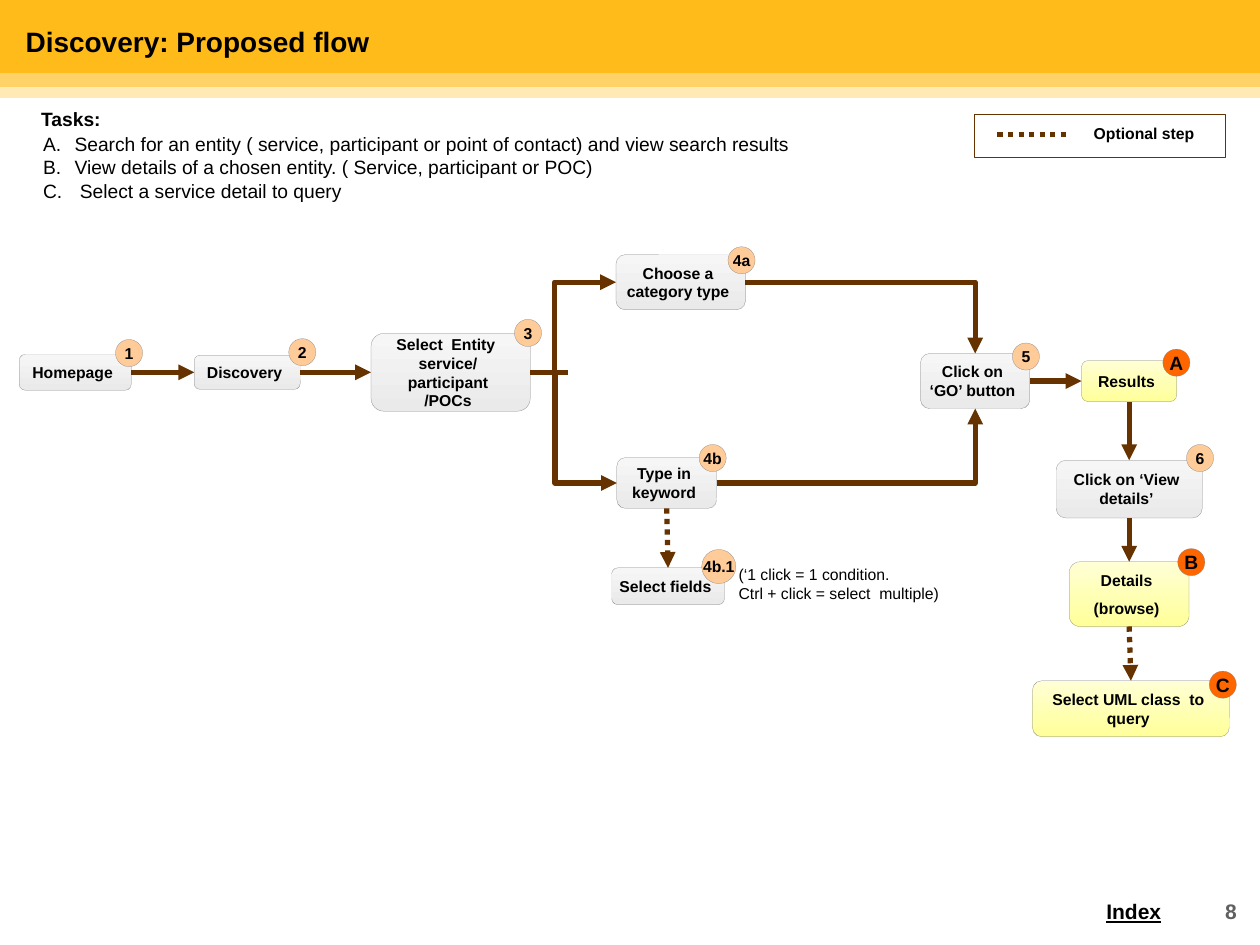
import pptx
import pptx.util
import pptx.dml.color
import pptx.enum.dml
import pptx.enum.shapes
import pptx.enum.text
import pptx.oxml.ns
import lxml.etree

Pt = pptx.util.Pt
SHAPE = pptx.enum.shapes.MSO_SHAPE
CONNECTOR = pptx.enum.shapes.MSO_CONNECTOR
ALIGN = pptx.enum.text.PP_ALIGN
ANCHOR = pptx.enum.text.MSO_ANCHOR
TOP, LEFT, BOTTOM, RIGHT = range(4)
BROWN = "663300"
BLACK = "000000"
GREY_FADE = ("F6F6F6", "EAEAEA")
YELLOW_FADE = ("FFFFD5", "FFFF99")

NODES = {
    "home": ("Homepage", (22, 405, 128, 41), GREY_FADE, 4),
    "discovery": ("Discovery", (222, 406, 121, 39), GREY_FADE, 4),
    "entity": ("Select  Entity  service/ participant /POCs", (424, 381, 182, 89), GREY_FADE, 9),
    "category": ("Choose a category type", (704, 291, 148, 63), GREY_FADE, 4),
    "keyword": ("Type in keyword", (705, 523, 114, 58), GREY_FADE, 4),
    "fields": ("Select fields", (699, 649, 129, 42), GREY_FADE, 4),
    "go": ("Click on ‘GO’ button", (1052, 404, 125, 63), GREY_FADE, 4),
    "results": ("Results", (1236, 412, 109, 47), YELLOW_FADE, 4),
    "view": ("Click on ‘View details’", (1207, 526, 167, 66), GREY_FADE, 4),
    "details": ("Details\n(browse)", (1222, 642, 137, 74), YELLOW_FADE, 4),
    "query": ("Select UML class  to query", (1180, 778, 225, 64), YELLOW_FADE, 4),
}
STEP_BADGES = [
    ("1", 132, 388, 31), ("2", 330, 387, 31), ("3", 588, 365, 31),
    ("4a", 832, 282, 31), ("4b", 799, 508, 31), ("4b.1", 802, 628, 39),
    ("5", 1157, 392, 31), ("6", 1356, 508, 31),
]
TASK_BADGES = [("A", 1329, 399, 31), ("B", 1346, 627, 31), ("C", 1382, 767, 31)]
STRAIGHT_LINKS = [
    ("home", RIGHT, "discovery", LEFT, False),
    ("discovery", RIGHT, "entity", LEFT, False),
    ("go", RIGHT, "results", LEFT, False),
    ("results", BOTTOM, "view", TOP, False),
    ("view", BOTTOM, "details", TOP, False),
    ("keyword", BOTTOM, "fields", TOP, True),
    ("details", BOTTOM, "query", TOP, True),
]
TASKS = [
    "Search for an entity ( service, participant or point of contact) and view search results",
    "View details of a chosen entity. ( Service, participant or POC)",
    " Select a service detail to query",
]


def rgb(value):
    return pptx.dml.color.RGBColor.from_string(value)


def add_child(parent, tag, **attributes):
    return lxml.etree.SubElement(parent, pptx.oxml.ns.qn(tag), **attributes)


def place(shape, bounds):
    shape.left, shape.top, shape.width, shape.height = map(Pt, bounds)


def write(shape, text, size, bold=False, align=ALIGN.LEFT, anchor=ANCHOR.MIDDLE,
          margins=(7.2, 3.6, 7.2, 3.6), color=BLACK, wrap=True, gap=0):
    frame = shape.text_frame
    frame.text = text
    frame.auto_size = pptx.enum.text.MSO_AUTO_SIZE.NONE
    frame.word_wrap = wrap
    frame.vertical_anchor = anchor
    frame.margin_left, frame.margin_top, frame.margin_right, frame.margin_bottom = map(Pt, margins)
    for number, para in enumerate(frame.paragraphs):
        para.alignment = align
        para.space_before = Pt(gap if number else 0)
        for span in para.runs:
            span.font.name = "Arial"
            span.font.size = Pt(size)
            span.font.bold = bold
            span.font.color.rgb = rgb(color)


def add_label(page, text, bounds, size, **style):
    box = page.shapes.add_textbox(*map(Pt, bounds))
    write(box, text, size, **style)
    return box


def add_shape(page, kind, bounds, fill=None, line=None, line_width=0.25):
    shape = page.shapes.add_shape(kind, *map(Pt, bounds))
    shape.shadow.inherit = False
    if fill:
        shape.fill.solid()
        shape.fill.fore_color.rgb = rgb(fill)
    else:
        shape.fill.background()
    if line:
        shape.line.color.rgb = rgb(line)
        shape.line.width = Pt(line_width)
    else:
        shape.line.fill.background()
    return shape


def add_band(page, top, height, fill, opacity):
    band = add_shape(page, SHAPE.RECTANGLE, (0, top, 1440, height), fill)
    color = band.fill._xPr.find(".//" + pptx.oxml.ns.qn("a:srgbClr"))
    add_child(color, "a:alpha", val=str(opacity * 1000))


def add_node(page, text, bounds, fade, margin):
    node = add_shape(page, SHAPE.ROUNDED_RECTANGLE, bounds, line="808080")
    node.fill.gradient()
    node.fill.gradient_angle = 270
    for stop, color in zip(node.fill.gradient_stops, fade):
        stop.color.rgb = rgb(color)
    write(node, text, 18, bold=True, align=ALIGN.CENTER,
          margins=(margin, 0, margin + 6, 0), gap=11.2)
    return node


def add_badge(page, text, left, top, diameter, fill, size):
    badge = add_shape(page, SHAPE.OVAL, (left, top, diameter, diameter), fill, "808080")
    write(badge, text, size, bold=True, align=ALIGN.CENTER, margins=(0, 0, 0, 0), wrap=False)


def add_line(page, start, end, kind=CONNECTOR.STRAIGHT, dotted=False, arrow=True):
    line = page.shapes.add_connector(kind, *map(Pt, start + end))
    line.line.color.rgb = rgb(BROWN)
    line.line.width = Pt(6)
    if dotted:
        line.line.dash_style = pptx.enum.dml.MSO_LINE.ROUND_DOT
    properties = line._element.spPr
    if arrow:
        add_child(properties.find(pptx.oxml.ns.qn("a:ln")), "a:tailEnd", type="triangle")
    add_child(properties, "a:effectLst")
    return line


def side_middle(node, side):
    across, down = {TOP: (0.5, 0), LEFT: (0, 0.5), BOTTOM: (0.5, 1), RIGHT: (1, 0.5)}[side]
    return (node.left.pt + across * node.width.pt, node.top.pt + down * node.height.pt)


def link(page, source, source_side, target, target_side, **style):
    line = add_line(page, side_middle(source, source_side),
                    side_middle(target, target_side), **style)
    line.begin_connect(source, source_side)
    line.end_connect(target, target_side)
    return line


def add_elbow(page, source, target, target_side, preset, bend=None):
    elbow = link(page, source, RIGHT, target, target_side, kind=CONNECTOR.ELBOW)
    geometry = elbow._element.spPr.find(pptx.oxml.ns.qn("a:prstGeom"))
    geometry.set("prst", preset)
    if bend:
        guides = geometry.find(pptx.oxml.ns.qn("a:avLst"))
        add_child(guides, "a:gd", name="adj1", fmla=f"val {bend}")


def fill_tasks(body):
    place(body, (42, 148, 970, 86))
    write(body, "\n".join(TASKS), 22, anchor=ANCHOR.TOP)
    for para in body.text_frame.paragraphs:
        properties = para._p.get_or_add_pPr()
        properties.set("marL", str(Pt(36)))
        properties.set("indent", str(Pt(-36)))
        add_child(properties, "a:buFont", typeface="Arial")
        add_child(properties, "a:buAutoNum", type="alphaUcPeriod")


def add_flow(page):
    nodes = {name: add_node(page, *details) for name, details in NODES.items()}
    for badge in STEP_BADGES:
        add_badge(page, *badge, "FFCC99", 18)
    for badge in TASK_BADGES:
        add_badge(page, *badge, "FF6600", 22)
    for source, source_side, target, target_side, dotted in STRAIGHT_LINKS:
        link(page, nodes[source], source_side, nodes[target], target_side, dotted=dotted)
    for choice, go_side in (("category", TOP), ("keyword", BOTTOM)):
        add_elbow(page, nodes["entity"], nodes[choice], LEFT, "bentConnector3", 28500)
        add_elbow(page, nodes[choice], nodes["go"], go_side, "bentConnector2")
    stub = add_line(page, (606, 425.5), (649, 425.5), arrow=False)
    stub.begin_connect(nodes["entity"], RIGHT)


def add_legend(page):
    add_line(page, (1140, 154), (1222, 154), dotted=True, arrow=False)
    add_label(page, "Optional step", (1230, 138, 155, 29), 18, bold=True, align=ALIGN.CENTER)
    add_shape(page, SHAPE.RECTANGLE, (1113, 131, 288, 49), line=BROWN, line_width=0.75)


def main():
    deck = pptx.Presentation()
    deck.slide_width, deck.slide_height = Pt(1440), Pt(1080)
    page = deck.slides.add_slide(deck.slide_layouts[1])
    title, body = page.placeholders
    add_band(page, 84, 16, "FEB400", 60)
    add_band(page, 100, 12, "FFEAB5", 100)
    add_band(page, 0, 84, "FEB400", 90)
    page.shapes._spTree.extend([title._element, body._element])
    place(title, (22, 25, 1354, 45))
    write(title, "Discovery: Proposed flow", 32, bold=True)
    fill_tasks(body)
    add_label(page, "Tasks:", (40, 119, 130, 34), 22, bold=True)
    add_flow(page)
    add_label(page, "(‘1 click = 1 condition.\nCtrl + click = select  multiple)", (837, 642, 266, 50), 18)
    add_legend(page)
    index = add_label(page, "Index", (1250, 1020, 108, 43), 24, bold=True,
                      margins=(14.4, 7.2, 14.4, 7.2))
    index.text_frame.paragraphs[0].runs[0].font.underline = True
    add_label(page, "8", (1368, 1020, 60, 43), 24, bold=True, align=ALIGN.RIGHT,
              margins=(14.4, 7.2, 14.4, 7.2), color="606060")
    deck.save("out.pptx")


if __name__ == "__main__":
    main()
